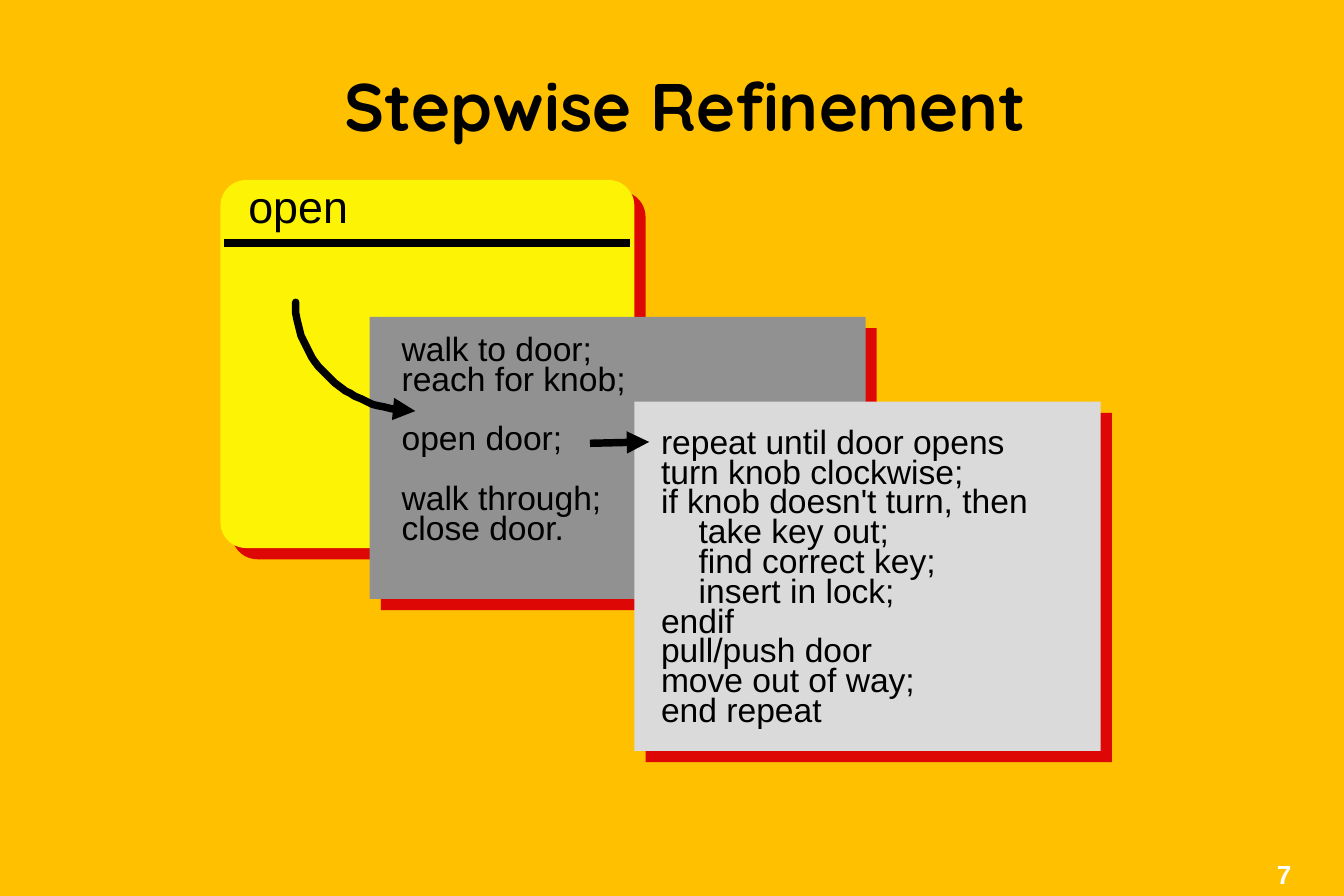
from dataclasses import dataclass
from math import cos, pi, sin

from lxml import etree
from pptx import Presentation
from pptx.dml.color import RGBColor
from pptx.enum.shapes import MSO_CONNECTOR, MSO_SHAPE
from pptx.enum.text import PP_ALIGN
from pptx.oxml.ns import qn
from pptx.util import Emu, Pt

RECT = MSO_SHAPE.RECTANGLE
ROUNDED = MSO_SHAPE.ROUNDED_RECTANGLE
STRAIGHT = MSO_CONNECTOR.STRAIGHT
LEFT = PP_ALIGN.LEFT
CENTER = PP_ALIGN.CENTER

PX = 9144
AMBER = RGBColor(0xFF, 0xC0, 0x00)
YELLOW = RGBColor(0xFC, 0xF3, 0x05)
GRAY = RGBColor(0x91, 0x91, 0x91)
LIGHT_GRAY = RGBColor(0xDA, 0xDA, 0xDA)
RED = RGBColor(0xDD, 0x08, 0x06)
BLACK = RGBColor(0x00, 0x00, 0x00)
WHITE = RGBColor(0xFF, 0xFF, 0xFF)

LINE_WIDTH = Pt(4)
CODE_PITCH = Pt(16)
CODE_INDENT = 28


@dataclass(frozen=True)
class Box:
    x: int
    y: int
    w: int
    h: int

    def emu(self) -> list[Emu]:
        return [Emu(v * PX) for v in (self.x, self.y, self.w, self.h)]


@dataclass(frozen=True)
class Line:
    text: str
    level: int = 0
    gap: bool = False


@dataclass(frozen=True)
class Style:
    size: int
    font: str = "Arial"
    color: RGBColor = BLACK
    bold: bool = False
    align: PP_ALIGN = LEFT
    spacing: float | Pt = 1.0
    inset_x: int = 10
    inset_y: int = 5


@dataclass(frozen=True)
class Panel:
    box: Box
    kind: MSO_SHAPE
    fill: RGBColor
    text_box: Box
    style: Style
    lines: list[Line]


TITLE = Style(36, "Quicksand", bold=True, align=CENTER, spacing=0.88, inset_x=7, inset_y=3)
NUMBER = Style(14, color=WHITE, bold=True, spacing=0.9, inset_x=7, inset_y=3)
HEADING = Style(24)
CODE = Style(18, spacing=CODE_PITCH)

PANELS = [
    Panel(Box(164, 134, 308, 274), ROUNDED, YELLOW, Box(175, 128, 97, 52), HEADING, [Line("open")]),
    Panel(Box(275, 236, 369, 210), RECT, GRAY, Box(289, 247, 210, 170), CODE, [
        Line("walk to door;"),
        Line("reach for knob;"),
        Line("open door;", gap=True),
        Line("walk through;", gap=True),
        Line("close door."),
    ]),
    Panel(Box(472, 299, 347, 260), RECT, LIGHT_GRAY, Box(482, 316, 325, 235), CODE, [
        Line("repeat until door opens"),
        Line("turn knob clockwise;"),
        Line("if knob doesn't turn, then"),
        Line("take key out;", level=1),
        Line("find correct key;", level=1),
        Line("insert in lock;", level=1),
        Line("endif"),
        Line("pull/push door"),
        Line("move out of way;"),
        Line("end repeat"),
    ]),
]


def add_text(s, box: Box, style: Style, lines: list[Line]) -> None:
    tf = s.shapes.add_textbox(*box.emu()).text_frame
    tf.word_wrap = True
    tf.margin_left = tf.margin_right = Emu(style.inset_x * PX)
    tf.margin_top = tf.margin_bottom = Emu(style.inset_y * PX)
    for i, line in enumerate(lines):
        p = tf.add_paragraph() if i else tf.paragraphs[0]
        p.alignment = style.align
        p.line_spacing = style.spacing
        if line.gap:
            p.space_before = CODE_PITCH
        if line.level:
            p._p.get_or_add_pPr().set("marL", str(line.level * CODE_INDENT * PX))
        r = p.add_run()
        r.text = line.text
        r.font.name = style.font
        r.font.size = Pt(style.size)
        r.font.bold = style.bold
        r.font.color.rgb = style.color


def add_panel(s, panel: Panel) -> None:
    sp = s.shapes.add_shape(panel.kind, *panel.box.emu())
    if panel.kind == ROUNDED:
        sp.adjustments[0] = 0.07
    sp.fill.solid()
    sp.fill.fore_color.rgb = panel.fill
    sp.line.fill.background()
    effects = etree.SubElement(sp._element.spPr, qn("a:effectLst"))
    shadow = etree.SubElement(effects, qn("a:outerShdw"), dist=str(Pt(8.5)),
                              dir=str(45 * 60000), algn="ctr", rotWithShape="0")
    etree.SubElement(shadow, qn("a:srgbClr"), val=str(RED))
    add_text(s, panel.text_box, panel.style, panel.lines)


def style_line(sp, arrow: bool) -> None:
    sp.line.color.rgb = BLACK
    sp.line.width = LINE_WIDTH
    if arrow:
        etree.SubElement(sp.line._get_or_add_ln(), qn("a:tailEnd"), type="triangle")


def add_line(s, x1: int, y1: int, x2: int, y2: int, arrow: bool = False) -> None:
    sp = s.shapes.add_connector(STRAIGHT, *(Emu(v * PX) for v in (x1, y1, x2, y2)))
    style_line(sp, arrow)
    etree.SubElement(sp._element.spPr, qn("a:effectLst"))


def add_curved_arrow(s, box: Box, steps: int = 30) -> None:
    angles = [pi / 2 * i / steps for i in range(steps + 1)]
    points = [(box.x + box.w * (1 - cos(a)), box.y + box.h * sin(a)) for a in angles]
    builder = s.shapes.build_freeform(*points[0], scale=PX)
    builder.add_line_segments(points[1:], close=False)
    sp = builder.convert_to_shape()
    sp.fill.background()
    style_line(sp, arrow=True)
    sp.line._get_or_add_ln().set("cap", "rnd")
    sp.shadow.inherit = False


def main() -> None:
    prs = Presentation()
    prs.slide_width, prs.slide_height = Emu(1000 * PX), Emu(667 * PX)
    s = prs.slides.add_slide(prs.slide_layouts[6])
    s.background.fill.solid()
    s.background.fill.fore_color.rgb = AMBER

    add_text(s, Box(943, 639, 38, 27), NUMBER, [Line("7")])
    add_text(s, Box(239, 53, 542, 59), TITLE, [Line("Stepwise Refinement")])
    for panel in PANELS:
        add_panel(s, panel)
    add_line(s, 167, 181, 469, 181)
    add_line(s, 439, 330, 483, 329, arrow=True)
    add_curved_arrow(s, Box(220, 225, 89, 81))
    prs.save("out.pptx")


if __name__ == "__main__":
    main()
